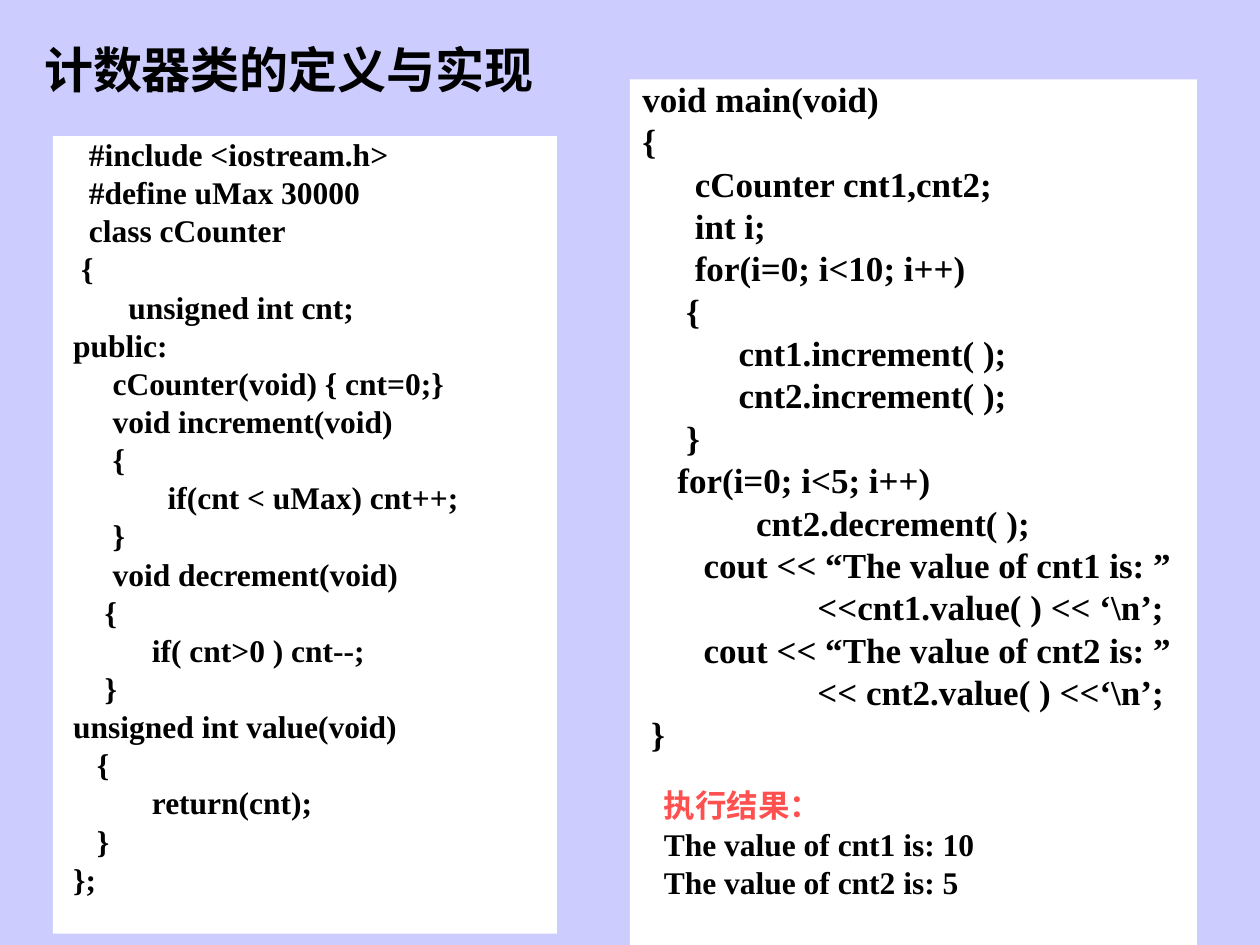
from dataclasses import dataclass

from lxml import etree
from pptx import Presentation
from pptx.dml.color import RGBColor
from pptx.enum.shapes import MSO_SHAPE
from pptx.enum.text import MSO_ANCHOR, MSO_AUTO_SIZE, PP_ALIGN
from pptx.oxml.ns import qn
from pptx.util import Inches, Pt

RECTANGLE = MSO_SHAPE.RECTANGLE
LEFT = PP_ALIGN.LEFT
TOP, MIDDLE = MSO_ANCHOR.TOP, MSO_ANCHOR.MIDDLE
NO_AUTOFIT = MSO_AUTO_SIZE.NONE
TITLE_ONLY_LAYOUT = 5


@dataclass(frozen=True)
class Theme:
    background: RGBColor = RGBColor(0xCC, 0xCC, 0xFF)
    panel: RGBColor = RGBColor(0xFF, 0xFF, 0xFF)
    text: RGBColor = RGBColor(0, 0, 0)
    accent: RGBColor = RGBColor(0xFF, 0x50, 0x50)
    code_font: str = "Times New Roman"
    chinese_font: str = "Noto Sans CJK SC"
    title_size: int = 28
    class_size: int = 18
    main_size: int = 20
    result_size: int = 18
    line_spacing: float = 0.8
    space_before: float = 0.25  # share of the type size
    space_width: float = 0.25  # width of a space, share of the type size


@dataclass(frozen=True)
class Panel:
    left: float
    top: float
    width: float
    height: float
    size: int
    text: str
    has_heading: bool = False


THEME = Theme()

CLASS_CODE = """
   #include <iostream.h>
   #define uMax 30000
   class cCounter
  {
        unsigned int cnt;
 public:
      cCounter(void) { cnt=0;}
      void increment(void)
      {
             if(cnt < uMax) cnt++;
      }
      void decrement(void)
     {
           if( cnt>0 ) cnt--;
     }
 unsigned int value(void)
    {
           return(cnt);
    }
 };
"""

MAIN_CODE = """
void main(void)
{
      cCounter cnt1,cnt2;
      int i;
      for(i=0; i<10; i++)
     {
           cnt1.increment( );
           cnt2.increment( );
     }
    for(i=0; i<5; i++)
             cnt2.decrement( );
       cout << “The value of cnt1 is: ”
                    <<cnt1.value( ) << ‘\\n’;
       cout << “The value of cnt2 is: ”
                    << cnt2.value( ) <<‘\\n’;
 }
"""

RESULT = """
执行结果：
The value of cnt1 is: 10
The value of cnt2 is: 5
"""

PANELS = [
    Panel(0.42, 1.08, 4, 6.33, THEME.class_size, CLASS_CODE),
    Panel(5, 0.63, 4.5, 6.87, THEME.main_size, MAIN_CODE),
    Panel(5.17, 6.25, 2.75, 1, THEME.result_size, RESULT, has_heading=True),
]


def place(shape, left: float, top: float, width: float, height: float) -> None:
    shape.left, shape.top = Inches(left), Inches(top)
    shape.width, shape.height = Inches(width), Inches(height)


def format_paragraph(paragraph, size: int, color: RGBColor, font_name: str) -> None:
    paragraph.alignment = LEFT
    font = paragraph.font
    font.size, font.bold, font.name = Pt(size), True, font_name
    font.color.rgb = color
    east_asian = etree.SubElement(font._rPr, qn("a:ea"))
    east_asian.set("typeface", THEME.chinese_font)


def add_panel(slide, panel: Panel) -> None:
    shape = slide.shapes.add_shape(RECTANGLE, 0, 0, 0, 0)
    place(shape, panel.left, panel.top, panel.width, panel.height)
    shape.shadow.inherit = False
    shape.fill.solid()
    shape.fill.fore_color.rgb = THEME.panel
    shape.line.fill.background()

    frame = shape.text_frame
    frame.word_wrap = True
    frame.vertical_anchor = TOP
    for index, line in enumerate(panel.text.strip("\n").split("\n")):
        paragraph = frame.add_paragraph() if index else frame.paragraphs[0]
        code = line.lstrip()
        paragraph.text = code
        is_heading = panel.has_heading and index == 0
        color = THEME.accent if is_heading else THEME.text
        format_paragraph(paragraph, panel.size, color, THEME.code_font)
        paragraph.line_spacing = THEME.line_spacing
        paragraph.space_before = Pt(panel.size * THEME.space_before)
        # Code indentation becomes the paragraph's left margin
        indent = Pt((len(line) - len(code)) * panel.size * THEME.space_width)
        paragraph._p.get_or_add_pPr().set("marL", str(int(indent)))


def add_title(slide, text: str) -> None:
    title = slide.shapes.title
    place(title, 0.25, 0.17, 4.33, 0.75)
    frame = title.text_frame
    frame.text = text
    frame.word_wrap = True
    frame.auto_size = NO_AUTOFIT
    frame.vertical_anchor = MIDDLE
    format_paragraph(frame.paragraphs[0], THEME.title_size, THEME.text, THEME.chinese_font)


def main() -> None:
    presentation = Presentation()
    presentation.slide_width, presentation.slide_height = Inches(10), Inches(7.5)
    slide = presentation.slides.add_slide(presentation.slide_layouts[TITLE_ONLY_LAYOUT])

    # Background and title
    slide.background.fill.solid()
    slide.background.fill.fore_color.rgb = THEME.background
    add_title(slide, "计数器类的定义与实现")

    # Class code, main program and its output
    for panel in PANELS:
        add_panel(slide, panel)

    presentation.save("out.pptx")


main()
